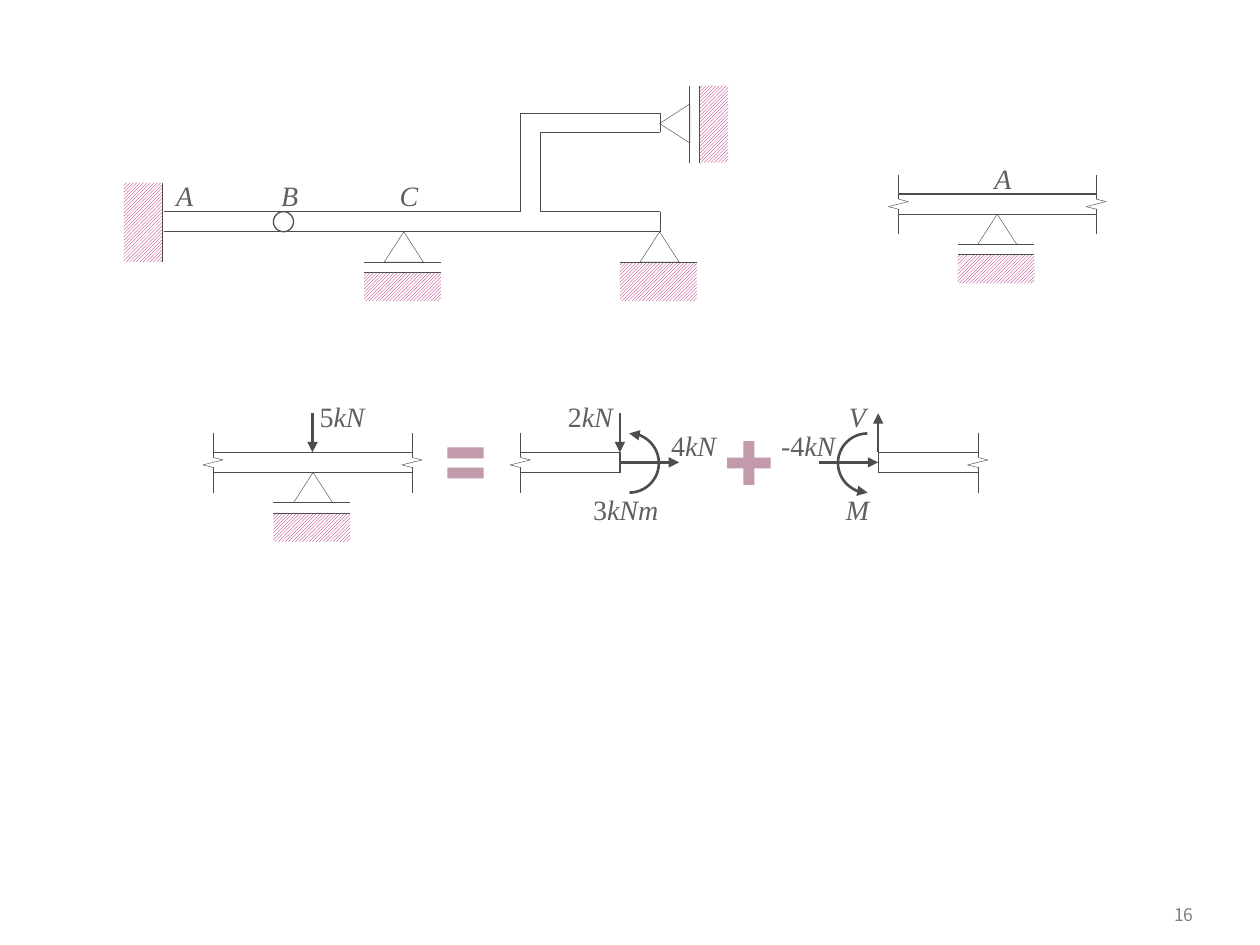
from lxml.etree import SubElement
from pptx import Presentation
from pptx.dml.color import RGBColor
from pptx.enum.dml import MSO_PATTERN
from pptx.enum.shapes import MSO_CONNECTOR, MSO_SHAPE
from pptx.enum.text import MSO_ANCHOR, MSO_AUTO_SIZE, PP_ALIGN
from pptx.oxml.ns import qn
from pptx.util import Inches, Pt


def rgb(value):
    return RGBColor.from_string(value)


class Sketch:
    """Draws beam diagrams on one slide in a shared style."""

    ink, hatch_ink, text_ink, accent = "4D4D4D", "A90165", "5F5F5F", "6B0131"
    thin, edge, bold = 0.25, 0.75, 1.5

    def __init__(self, page):
        self.page = page
        self.shapes = page.shapes

    def start_group(self):
        self.shapes = self.page.shapes.add_group_shape().shapes

    def end_group(self):
        self.shapes = self.page.shapes

    def style_line(self, item, width, arrow=None):
        item.line.color.rgb = rgb(self.ink)
        item.line.width = Pt(width)
        if arrow:
            outline = item.element.spPr.find(qn("a:ln"))
            SubElement(outline, qn(f"a:{arrow}"), type="triangle")

    def line(self, start, end, width=edge, arrow=None):
        connector = self.shapes.add_connector(
            MSO_CONNECTOR.STRAIGHT, *map(Inches, start + end))
        self.style_line(connector, width, arrow)
        SubElement(connector.element.spPr, qn("a:effectLst"))

    def arrow(self, start, end):
        self.line(start, end, self.bold, "tailEnd")

    def polyline(self, points, width=edge):
        for start, end in zip(points, points[1:]):
            self.line(start, end, width)

    def shape(self, kind, left, top, width, height, rotation=0, adjustments=()):
        item = self.shapes.add_shape(kind, *map(Inches, (left, top, width, height)))
        item.shadow.inherit = False
        item.rotation = rotation
        for index, value in enumerate(adjustments):
            item.adjustments[index] = value
        return item

    def outline(self, kind, *place, width=thin, arrow=None, **options):
        item = self.shape(kind, *place, **options)
        item.fill.background()
        self.style_line(item, width, arrow)

    def hatch(self, *place, rotation=0):
        item = self.shape(MSO_SHAPE.RECTANGLE, *place, rotation=rotation)
        item.fill.patterned()
        item.fill.pattern = MSO_PATTERN.LIGHT_UPWARD_DIAGONAL
        item.fill.fore_color.rgb = rgb(self.hatch_ink)
        item.fill.back_color.rgb = rgb("FFFFFF")
        item.line.fill.background()

    def operator(self, kind, *place, adjustments):
        item = self.shape(kind, *place, adjustments=adjustments)
        item.fill.solid()
        item.fill.fore_color.rgb = rgb(self.accent)
        color = item.element.spPr.find(qn("a:solidFill"))[0]
        SubElement(color, qn("a:alpha"), val="40000")
        item.line.fill.background()

    def moment(self, left, top, rotation=0):
        self.outline(MSO_SHAPE.ARC, left, top, 0.47, 0.47, width=self.bold,
                     arrow="headEnd", rotation=rotation, adjustments=(162, 53.723))

    def pin(self, left, top, rotation=0):
        self.outline(MSO_SHAPE.ISOSCELES_TRIANGLE, left, top, 0.31, 0.24,
                     rotation=rotation)

    def ground_line(self, left, top):
        self.line((left, top), (left + 0.61, top), self.thin)

    def roller(self, left, top):
        self.hatch(left, top + 0.32, 0.61, 0.23)
        self.ground_line(left, top + 0.24)
        self.ground_line(left, top + 0.32)
        self.pin(left + 0.16, top)

    def beam(self, left, right, middle, breaks):
        for y in (middle + 0.08, middle - 0.08):
            self.line((left, y), (right, y))
        offsets = ((0, -0.23), (0, -0.04), (0.08, -0.02),
                   (-0.08, 0.02), (0, 0.04), (0, 0.24))
        for x in breaks:
            self.polyline([(x + dx, middle + dy) for dx, dy in offsets], self.thin)

    def text_box(self, left, top, width, height, align, font, size, color):
        box = self.shapes.add_textbox(*map(Inches, (left, top, width, height)))
        box.text_frame.word_wrap = True
        para = box.text_frame.paragraphs[0]
        para.alignment = align
        para.font.name, para.font.size = font, Pt(size)
        para.font.color.rgb = rgb(color)
        return box.text_frame, para

    def label(self, symbol, left, top, width, height=0.27, number=""):
        frame, para = self.text_box(left, top, width, height, PP_ALIGN.CENTER,
                                    "Times New Roman", 16, self.text_ink)
        if number:
            para.add_run().text = number
        span = para.add_run()
        span.text = symbol
        (span if number else para).font.italic = True
        return frame

    def force_label(self, symbol, left, top, width, number=""):
        frame = self.label(symbol, left, top, width, number=number)
        frame.margin_left = frame.margin_right = 0
        frame.margin_top = frame.margin_bottom = 0

    def point_label(self, symbol, left, top, width=0.16):
        frame = self.label(symbol, left, top, width, 0.37)
        frame.auto_size = MSO_AUTO_SIZE.SHAPE_TO_FIT_TEXT

    def page_number(self, number):
        frame, para = self.text_box(8.86, 7.09, 0.71, 0.33, PP_ALIGN.RIGHT,
                                    "Noto Sans CJK KR", 10, "808080")
        frame.vertical_anchor = MSO_ANCHOR.MIDDLE
        para.add_run().text = number


def draw_frame(sketch):
    sketch.start_group()
    sketch.point_label("A", 1.3, 1.37, 0.24)
    sketch.hatch(0.82, 1.61, 0.63, 0.31, rotation=90)
    sketch.line((1.29, 1.45), (1.29, 2.08), sketch.thin)
    sketch.polyline([(1.3, 1.68), (4.13, 1.68), (4.13, 0.9), (5.24, 0.9),
                     (5.24, 1.05), (4.29, 1.05), (4.29, 1.68), (5.24, 1.68),
                     (5.24, 1.84), (1.3, 1.84)])
    sketch.outline(MSO_SHAPE.OVAL, 2.17, 1.68, 0.16, 0.16, width=sketch.edge)
    sketch.roller(2.89, 1.84)
    sketch.hatch(4.92, 2.08, 0.61, 0.31)
    sketch.ground_line(4.92, 2.08)
    sketch.pin(5.08, 1.84)
    sketch.hatch(5.36, 0.87, 0.61, 0.23, rotation=270)
    for x in (5.47, 5.55):
        sketch.line((x, 1.29), (x, 0.68), sketch.thin)
    sketch.pin(5.2, 0.86, rotation=270)
    sketch.point_label("B", 2.17, 1.37)
    sketch.point_label("C", 3.11, 1.37)


def draw_support_detail(sketch):
    sketch.start_group()
    sketch.beam(7.13, 8.7, 1.62, (8.7, 7.13))
    sketch.roller(7.6, 1.7)
    sketch.point_label("A", 7.83, 1.23)


def draw_superposition(sketch):
    middle, top, load_top, label_top = 3.67, 3.59, 3.28, 3.17
    sketch.start_group()
    sketch.beam(1.69, 3.27, middle, (3.27, 1.69))
    sketch.roller(2.17, 3.75)
    sketch.arrow((2.48, load_top), (2.48, top))
    sketch.force_label("kN", 2.48, label_top, 0.47, "5")

    sketch.start_group()
    sketch.beam(4.13, 4.92, middle, (4.13,))
    sketch.line((4.92, 3.75), (4.92, top))
    sketch.arrow((4.92, load_top), (4.92, top))
    sketch.force_label("kN", 4.45, label_top, 0.47, "2")
    sketch.arrow((4.92, middle), (5.39, middle))
    sketch.moment(4.76, 3.44)
    sketch.force_label("kNm", 4.69, 3.91, 0.55, "3")
    sketch.force_label("kN", 5.31, 3.4, 0.39, "4")

    sketch.end_group()
    sketch.operator(MSO_SHAPE.MATH_PLUS, 5.71, 3.44, 0.47, 0.47, adjustments=(0.185,))
    sketch.operator(MSO_SHAPE.MATH_EQUAL, 3.5, 3.36, 0.39, 0.63,
                    adjustments=(0.136, 0.118))

    sketch.start_group()
    sketch.beam(6.97, 7.76, middle, (7.76,))
    sketch.line((6.97, 3.75), (6.97, top))
    sketch.arrow((6.5, middle), (6.97, middle))
    sketch.moment(6.65, 3.44, rotation=180)
    sketch.arrow((6.97, top), (6.97, load_top))
    sketch.force_label("V", 6.65, label_top, 0.31)
    sketch.force_label("M", 6.65, 3.91, 0.31)
    sketch.force_label("kN", 6.18, 3.4, 0.47, "-4")
    sketch.end_group()


def main():
    deck = Presentation()
    deck.slide_width, deck.slide_height = Inches(10), Inches(7.5)
    sketch = Sketch(deck.slides.add_slide(deck.slide_layouts[6]))
    sketch.page_number("16")
    draw_frame(sketch)
    draw_support_detail(sketch)
    draw_superposition(sketch)
    deck.save("out.pptx")


if __name__ == "__main__":
    main()
